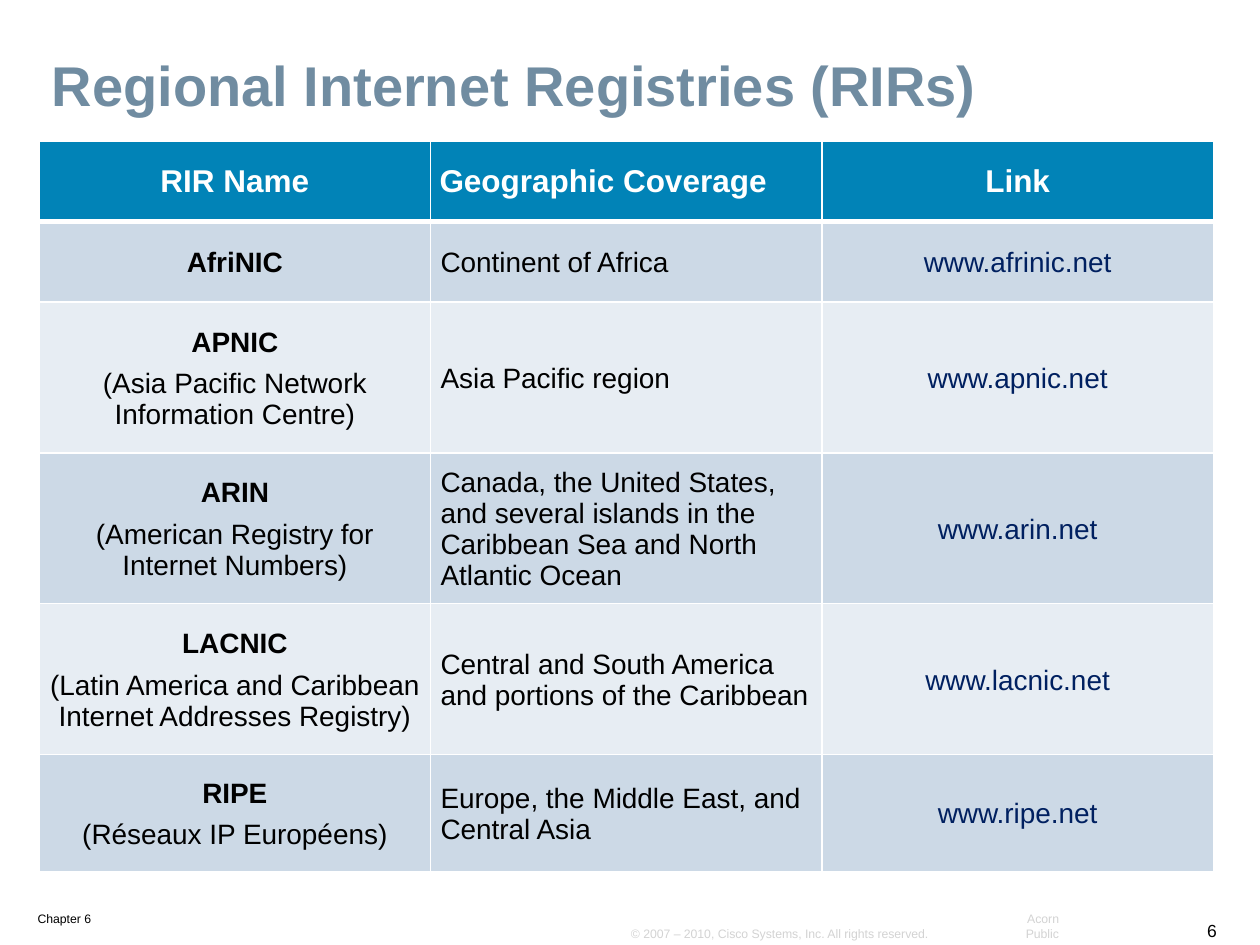
import lxml.etree
import pptx
import pptx.dml.color
import pptx.enum.text
import pptx.oxml.ns
import pptx.util

Cm = pptx.util.Cm
Pt = pptx.util.Pt
RGBColor = pptx.dml.color.RGBColor
Align = pptx.enum.text.PP_ALIGN
Anchor = pptx.enum.text.MSO_ANCHOR

FONT = "Arial"
WHITE = RGBColor(0xFF, 0xFF, 0xFF)
BLACK = RGBColor(0x00, 0x00, 0x00)
GREY = RGBColor(0xD3, 0xD3, 0xD3)
SLATE = RGBColor(0x70, 0x8C, 0xA1)
HEADER_BLUE = RGBColor(0x01, 0x83, 0xB7)
LINK_BLUE = RGBColor(0x00, 0x20, 0x60)
BANDS = (RGBColor(0xCC, 0xD9, 0xE6), RGBColor(0xE7, 0xED, 0xF3))

HEADINGS = ("RIR Name", "Geographic Coverage", "Link")
ALIGNMENTS = (Align.CENTER, Align.LEFT, Align.CENTER)
ROW_HEIGHTS = (1.62, 1.62, 3.04, 3.04, 3.04, 2.36)
REGISTRIES = (
    (("AfriNIC",), "Continent of Africa", "www.afrinic.net"),
    (("APNIC", "(Asia Pacific Network Information Centre)"),
     "Asia Pacific region", "www.apnic.net"),
    (("ARIN", "(American Registry for Internet Numbers)"),
     "Canada, the United States, and several islands in the Caribbean Sea "
     "and North Atlantic Ocean", "www.arin.net"),
    (("LACNIC", "(Latin America and Caribbean Internet Addresses Registry)"),
     "Central and South America and portions of the Caribbean",
     "www.lacnic.net"),
    (("RIPE", "(Réseaux IP Européens)"),
     "Europe, the Middle East, and Central Asia", "www.ripe.net"),
)


def style_paragraph(para, size, color, bold=False, align=Align.LEFT):
    """Set the font and alignment of a paragraph."""
    para.alignment = align
    para.font.name = FONT
    para.font.size = Pt(size)
    para.font.bold = bold
    para.font.color.rgb = color


def set_borders(cell, bottom_width):
    """Draw white borders around a cell."""
    properties = cell._tc.get_or_add_tcPr()
    sides = (("lnL", 1), ("lnR", 1), ("lnT", 1), ("lnB", bottom_width))
    for position, (side, width) in enumerate(sides):
        line = lxml.etree.Element(pptx.oxml.ns.qn(f"a:{side}"), w=str(Pt(width)))
        fill = lxml.etree.SubElement(line, pptx.oxml.ns.qn("a:solidFill"))
        lxml.etree.SubElement(fill, pptx.oxml.ns.qn("a:srgbClr"), val=str(WHITE))
        properties.insert(position, line)


def fill_cell(cell, lines, fill, align, size, color, bold, margins, bottom_width=1):
    """Write lines into a cell, with only the first one bold if asked."""
    cell.fill.solid()
    cell.fill.fore_color.rgb = fill
    cell.vertical_anchor = Anchor.MIDDLE
    side, top, bottom = margins
    cell.margin_left = cell.margin_right = Cm(side)
    cell.margin_top, cell.margin_bottom = Cm(top), Cm(bottom)
    cell.text_frame.text = "\n".join(lines)
    for number, para in enumerate(cell.text_frame.paragraphs):
        style_paragraph(para, size, color, bold and number == 0, align)
        para.space_after = Pt(6)
    set_borders(cell, bottom_width)


def add_title(page, left, top, width, height):
    """Place the slide title."""
    title = page.shapes.title
    title.left, title.top, title.width, title.height = map(
        Cm, (left, top, width, height))
    frame = title.text_frame
    frame.text = "Regional Internet Registries (RIRs)"
    frame.vertical_anchor = Anchor.MIDDLE
    style_paragraph(frame.paragraphs[0], 32, SLATE, bold=True)
    frame.paragraphs[0].line_spacing = 0.9


def add_registry_table(page, left, top, width):
    """Build the table of registries."""
    table = page.shapes.add_table(
        len(ROW_HEIGHTS), len(HEADINGS), Cm(left), Cm(top), Cm(width),
        Cm(sum(ROW_HEIGHTS))).table
    for row, height in zip(table.rows, ROW_HEIGHTS):
        row.height = Cm(height)
    for column, (heading, align) in enumerate(zip(HEADINGS, ALIGNMENTS)):
        fill_cell(table.cell(0, column), (heading,), HEADER_BLUE, align,
                  18, WHITE, True, (0.18, 0, 0), bottom_width=3)
    for row, (names, coverage, link) in enumerate(REGISTRIES, start=1):
        contents = ((names, BLACK, True), ((coverage,), BLACK, False),
                    ((link,), LINK_BLUE, False))
        for column, (lines, color, bold) in enumerate(contents):
            fill_cell(table.cell(row, column), lines, BANDS[(row - 1) % 2],
                      ALIGNMENTS[column], 16, color, bold, (0.2, 0.2, 0.15))


def add_footer(page, left, bottom):
    """Place the chapter, copyright, status and page number notes."""
    notes = (
        ("Chapter 6", 0, 0.3, 2.67, 0.53, 7, BLACK, Align.LEFT),
        ("© 2007 – 2010, Cisco Systems, Inc. All rights reserved.",
         11.96, 0, 6.53, 0.53, 7, GREY, Align.LEFT),
        ("Acorn Public", 19.25, 0, 1.8, 0.53, 7, GREY, Align.RIGHT),
        ("6", 23.34, 0, 0.89, 0.66, 10, BLACK, Align.RIGHT),
    )
    for text, offset, rise, width, height, size, color, align in notes:
        box = page.shapes.add_textbox(
            Cm(left + offset), Cm(bottom - rise - height), Cm(width), Cm(height))
        frame = box.text_frame
        frame.text = text
        frame.word_wrap = False
        frame.auto_size = pptx.enum.text.MSO_AUTO_SIZE.SHAPE_TO_FIT_TEXT
        frame.vertical_anchor = Anchor.BOTTOM
        frame.margin_left = frame.margin_right = Cm(0.23)
        frame.margin_top = frame.margin_bottom = Cm(0.1)
        style_paragraph(frame.paragraphs[0], size, color, align=align)


def main():
    """Build the deck and save it."""
    deck = pptx.Presentation()
    deck.slide_width, deck.slide_height = Cm(25.4), Cm(19.05)
    page = deck.slides.add_slide(deck.slide_layouts[5])
    add_title(page, 0.79, 1.02, 23.67, 1.52)
    add_registry_table(page, 0.79, 2.85, 23.67)
    add_footer(page, 0.53, 19.07)
    deck.save("out.pptx")


if __name__ == "__main__":
    main()
